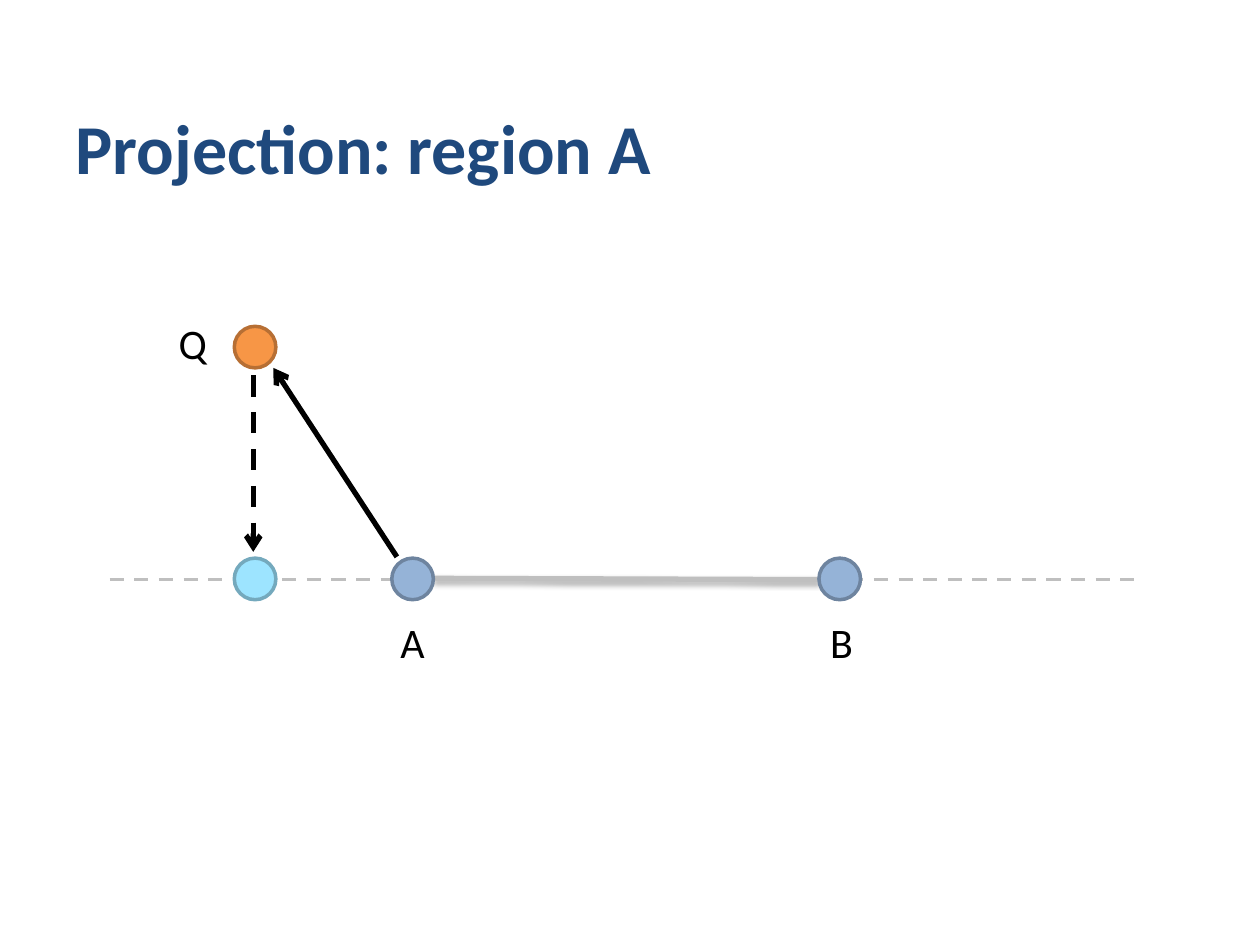
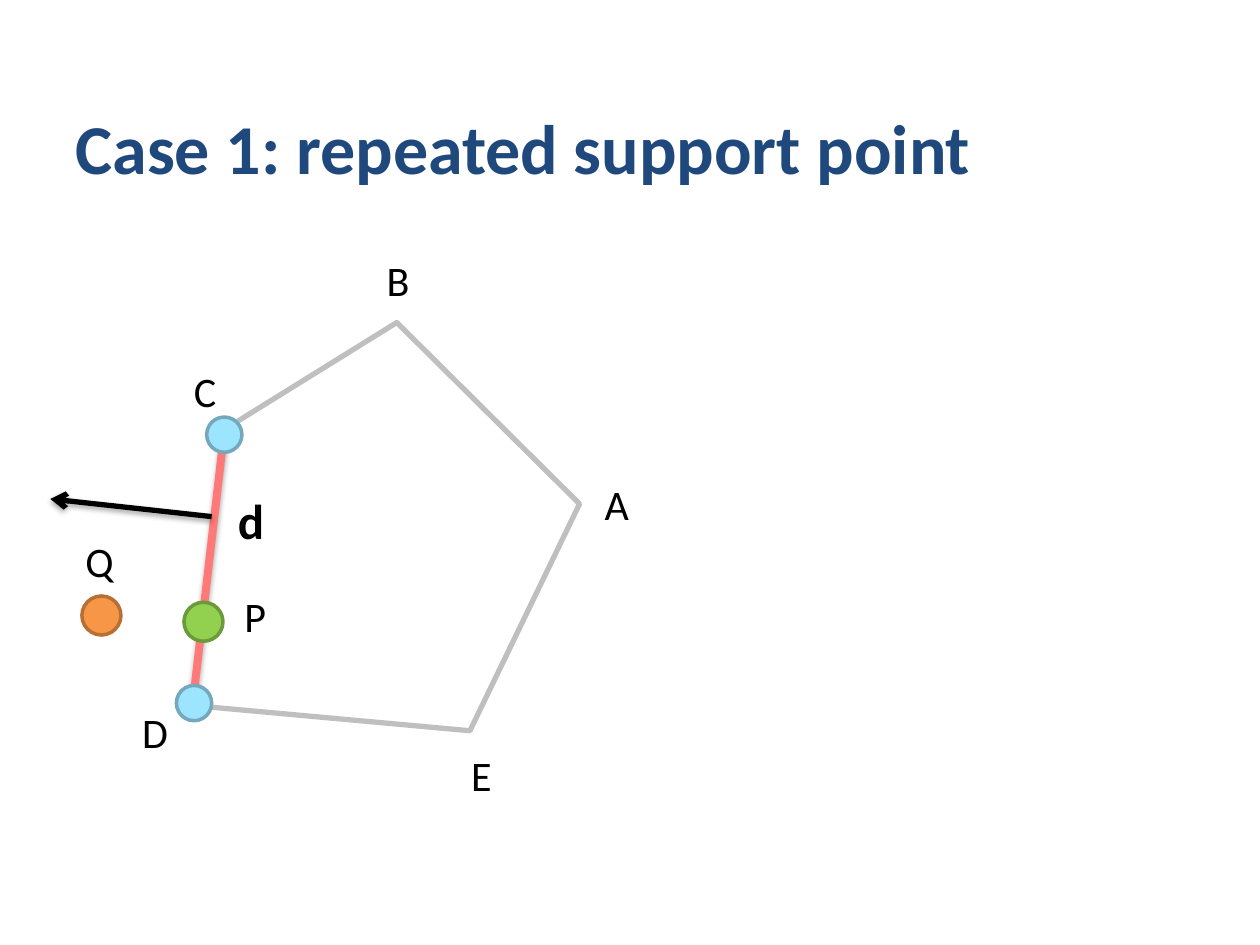
import pptx
import pptx.util
import pptx.dml.color
import pptx.enum.dml
import pptx.enum.shapes
import pptx.enum.text
import pptx.oxml
import pptx.oxml.ns

PX = 9144  # EMU per px, 100 px to the inch
FONT = "Calibri"
INK = {"title": "1F497D", "text": "000000", "edge": "BFBFBF", "hit": "FF7979"}
# Fill and outline of each kind of point
DOTS = {
    "query": ("F79646", "B76F34"),
    "end": ("95B3D7", "6E849F"),
    "near": ("9DE4FF", "74A9BD"),
    "foot": ("92D050", "6C9A3B"),
}
NS = pptx.oxml.ns.nsdecls("a")
SHADOW = (
    '<a:outerShdw blurRad="40000" dist="23000" dir="5400000" rotWithShape="0">'
    '<a:srgbClr val="000000"><a:alpha val="35000"/></a:srgbClr></a:outerShdw>'
)


def rgb(code):
    return pptx.dml.color.RGBColor.from_string(code)


def emu(*sizes):
    return [pptx.util.Emu(size * PX) for size in sizes]


class Deck:
    def __init__(self):
        self.file = pptx.Presentation()
        self.file.slide_width, self.file.slide_height = emu(1000, 750)
        self.slide = None

    def style(self, frame, size, color, bold=False):
        for part in frame.paragraphs:
            part.alignment = pptx.enum.text.PP_ALIGN.LEFT
            for run in part.runs:
                run.font.name = FONT
                run.font.size = pptx.util.Pt(size)
                run.font.bold = bold
                run.font.color.rgb = rgb(color)

    def stroke(self, line, color, width):
        line.color.rgb = rgb(color)
        line.width = pptx.util.Pt(width)

    def page(self, title):
        self.slide = self.file.slides.add_slide(self.file.slide_layouts[5])
        box = self.slide.shapes.title
        box.left, box.top, box.width, box.height = emu(50, 13, 825, 142)
        frame = box.text_frame
        frame.text = title
        frame.auto_size = pptx.enum.text.MSO_AUTO_SIZE.NONE
        frame.vertical_anchor = pptx.enum.text.MSO_ANCHOR.BOTTOM
        self.style(frame, 40, INK["title"], True)

    def label(self, text, left, top, width, height=50, size=24, bold=False):
        box = self.slide.shapes.add_textbox(*emu(left, top, width, height))
        frame = box.text_frame
        frame.text = text
        frame.word_wrap = bold
        frame.auto_size = pptx.enum.text.MSO_AUTO_SIZE.SHAPE_TO_FIT_TEXT
        self.style(frame, size, INK["text"], bold)

    def dot(self, kind, left, top, size):
        oval = pptx.enum.shapes.MSO_SHAPE.OVAL
        dot = self.slide.shapes.add_shape(oval, *emu(left, top, size, size))
        fill, edge = DOTS[kind]
        dot.shadow.inherit = False
        dot.fill.solid()
        dot.fill.fore_color.rgb = rgb(fill)
        self.stroke(dot.line, edge, 2)

    def line(self, start, end, color, width, dash=False, arrow=False, shade=False):
        kind = pptx.enum.shapes.MSO_CONNECTOR.STRAIGHT
        link = self.slide.shapes.add_connector(kind, *emu(*start, *end))
        self.stroke(link.line, color, width)
        if dash:
            link.line.dash_style = pptx.enum.dml.MSO_LINE.DASH
        props = link._element.spPr
        if arrow:
            tail = pptx.oxml.parse_xml(f'<a:tailEnd {NS} type="arrow"/>')
            props.find(pptx.oxml.ns.qn("a:ln")).append(tail)
        glow = SHADOW if shade else ""
        props.append(pptx.oxml.parse_xml(f"<a:effectLst {NS}>{glow}</a:effectLst>"))

    def outline(self, points, color, width):
        pen = self.slide.shapes.build_freeform(*points[0], scale=PX)
        pen.add_line_segments(points[1:], close=True)
        shape = pen.convert_to_shape()
        shape.shadow.inherit = False
        shape.fill.background()
        self.stroke(shape.line, color, width)


def region(deck):
    deck.page("Projection: region A")

    # Line through A and B, with the segment between them
    deck.line((87, 460), (901, 460), INK["edge"], 2, dash=True)
    deck.line((344, 459), (650, 460), INK["edge"], 3, shade=True)

    # Points
    for kind, left, top in (("query", 186, 259), ("end", 650, 443),
                            ("end", 311, 443), ("near", 186, 443)):
        deck.dot(kind, left, top, 33)

    # Vector from A to Q, and the drop from Q
    deck.line((315, 442), (217, 292), INK["text"], 3, arrow=True)
    deck.line((201, 298), (201, 438), INK["text"], 3, dash=True, arrow=True)

    # Names
    for name in (("Q", 132, 247, 43), ("A", 308, 484, 40), ("B", 649, 484, 38)):
        deck.label(*name)


def support(deck):
    deck.page("Case 1: repeated support point")

    # Polygon and its names
    deck.outline([(178, 341), (153, 560), (373, 580), (460, 400), (315, 256)],
                 INK["edge"], 3)
    for name in (("A", 470, 375, 40), ("B", 297, 197, 38), ("C", 144, 285, 38),
                 ("D", 103, 556, 41), ("E", 364, 590, 37)):
        deck.label(*name)

    # Nearest edge with its end points
    deck.line((153, 558), (178, 342), INK["hit"], 4.5, shade=True)
    deck.dot("near", 164, 331, 28)
    deck.dot("near", 140, 544, 28)

    # Search direction
    deck.line((168, 410), (40, 396), INK["text"], 3, arrow=True, shade=True)
    deck.label("d", 179, 384, 44, 57, size=28, bold=True)

    # Query point and its closest point
    deck.dot("foot", 146, 478, 31)
    deck.label("P", 184, 464, 38)
    deck.dot("query", 65, 473, 31)
    deck.label("Q", 58, 420, 43)


def main():
    deck = Deck()
    region(deck)
    support(deck)
    deck.file.save("out.pptx")


if __name__ == "__main__":
    main()
